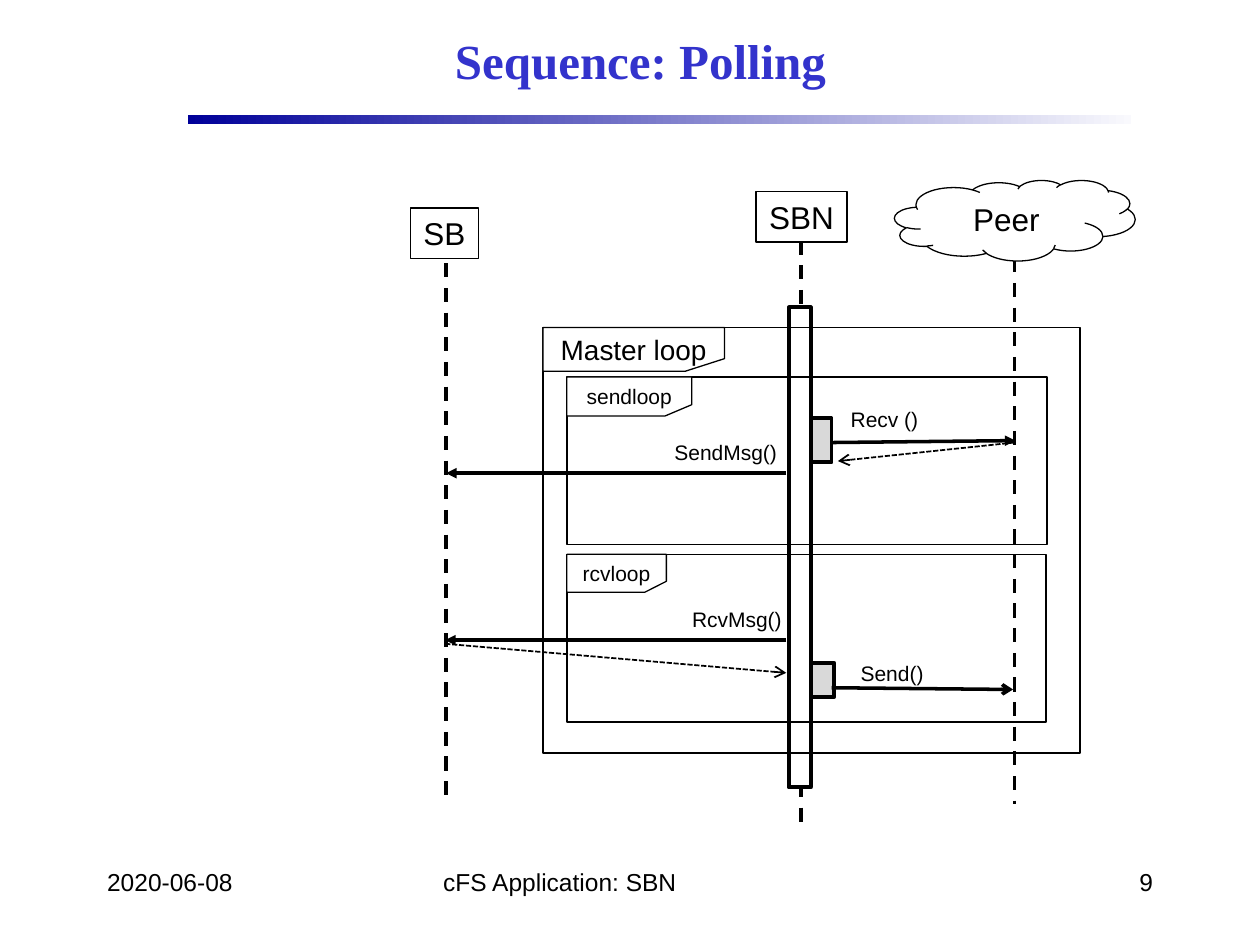
from dataclasses import dataclass

from lxml.etree import SubElement
from pptx import Presentation
from pptx.dml.color import RGBColor
from pptx.enum.dml import MSO_LINE
from pptx.enum.shapes import MSO_CONNECTOR, MSO_SHAPE
from pptx.enum.text import MSO_ANCHOR, PP_ALIGN
from pptx.oxml.ns import qn
from pptx.util import Pt


@dataclass(frozen=True)
class Theme:
    black: RGBColor = RGBColor(0x00, 0x00, 0x00)
    white: RGBColor = RGBColor(0xFF, 0xFF, 0xFF)
    gray: RGBColor = RGBColor(0xD9, 0xD9, 0xD9)
    title: RGBColor = RGBColor(0x33, 0x33, 0xCC)
    rule_start: RGBColor = RGBColor(0x00, 0x00, 0x99)
    rule_end: RGBColor = RGBColor(0xF9, 0xF9, 0xFD)
    title_font: str = "Times New Roman"
    body_font: str = "Arial"
    title_size: int = 28
    actor_size: int = 18
    loop_size: int = 16
    footer_size: int = 14
    label_size: int = 12


theme = Theme()
presentation = Presentation()
presentation.slide_width = Pt(720)
presentation.slide_height = Pt(540)
slide = presentation.slides.add_slide(presentation.slide_layouts[5])
shapes = slide.shapes


def format_shape(shape, fill=None, line=None, text="", size=theme.label_size,
                 align=PP_ALIGN.CENTER, wrap=True):
    shape.shadow.inherit = False
    if fill is None:
        shape.fill.background()
    else:
        shape.fill.solid()
        shape.fill.fore_color.rgb = fill
    if line is None:
        shape.line.fill.background()
    else:
        shape.line.color.rgb = theme.black
        shape.line.width = Pt(line)
    if text:
        frame = shape.text_frame
        frame.margin_left = frame.margin_right = 0
        frame.margin_top = frame.margin_bottom = 0
        frame.word_wrap = wrap
        frame.vertical_anchor = MSO_ANCHOR.MIDDLE
        paragraph = frame.paragraphs[0]
        paragraph.alignment = align
        run = paragraph.add_run()
        run.text = text
        run.font.name = theme.body_font
        run.font.size = Pt(size)
        run.font.color.rgb = theme.black


def add_line(x1, y1, x2, y2, width=2, dash=None, head=None):
    connector = shapes.add_connector(MSO_CONNECTOR.STRAIGHT, Pt(x1), Pt(y1), Pt(x2), Pt(y2))
    connector.line.color.rgb = theme.black
    connector.line.width = Pt(width)
    if dash:
        connector.line.dash_style = dash
    if head:
        SubElement(connector.line._get_or_add_ln(), qn("a:tailEnd"), type=head)
    SubElement(connector._element.spPr, qn("a:effectLst"))


# Title and the fading rule below it
title = shapes.title
title.left, title.top, title.width, title.height = Pt(108), Pt(7.2), Pt(516), Pt(54)
title.text_frame.vertical_anchor = MSO_ANCHOR.MIDDLE
paragraph = title.text_frame.paragraphs[0]
paragraph.alignment = PP_ALIGN.CENTER
run = paragraph.add_run()
run.text = "Sequence: Polling"
run.font.name = theme.title_font
run.font.size = Pt(theme.title_size)
run.font.bold = True
run.font.color.rgb = theme.title

rule = shapes.add_shape(MSO_SHAPE.RECTANGLE, Pt(107.3), Pt(66), Pt(539.3), Pt(5))
format_shape(rule)
rule.fill.gradient()
rule.fill.gradient_angle = 0
for stop, color in zip(rule.fill.gradient_stops, (theme.rule_start, theme.rule_end)):
    stop.color.rgb = color

# Footer
for text, left, width, align in (
    ("2020-06-08", 61.2, 135, PP_ALIGN.LEFT),
    ("cFS Application: SBN", 253.2, 214, PP_ALIGN.LEFT),
    ("9", 523.2, 135.6, PP_ALIGN.RIGHT),
):
    footer = shapes.add_textbox(Pt(left), Pt(496), Pt(width), Pt(16))
    format_shape(footer, text=text, size=theme.footer_size, align=align)

# Actors and their lifelines
for name, kind, left, top, width, height, life_x, life_top, life_bottom in (
    ("Peer", MSO_SHAPE.CLOUD, 511.2, 103, 137.5, 46, 579.8, 147.6, 459.4),
    ("SB", MSO_SHAPE.RECTANGLE, 234.5, 118.8, 39, 29, 254.8, 150.5, 459.4),
    ("SBN", MSO_SHAPE.RECTANGLE, 432, 109.4, 52, 29, 457.8, 137.5, 470),
):
    add_line(life_x, life_top, life_x, life_bottom, dash=MSO_LINE.DASH)
    actor = shapes.add_shape(kind, Pt(left), Pt(top), Pt(width), Pt(height))
    format_shape(actor, theme.white, 0.75, name, theme.actor_size)

# Activation bars on the SBN lifeline
for left, top, width, height, fill in (
    (450.7, 175.7, 12.5, 274.3, theme.white),
    (463.7, 378.7, 13, 19.6, theme.gray),
    (463.7, 239, 11.5, 25.2, theme.gray),
):
    bar = shapes.add_shape(MSO_SHAPE.RECTANGLE, Pt(left), Pt(top), Pt(width), Pt(height))
    format_shape(bar, fill, 2.25)

# Loop frames, each with a cut-corner tab
for name, size, left, top, width, height, tab_width, tab_height, cut_x, cut_y in (
    ("Master loop", theme.loop_size, 310.3, 187.2, 306.9, 243.2, 103.7, 25, 22.5, 7.2),
    ("rcvloop", theme.label_size, 323.9, 316.8, 274, 95.6, 56.9, 21.6, 12.2, 6.2),
    ("sendloop", theme.label_size, 323.9, 215.4, 274.3, 95.8, 71.4, 22.4, 15.4, 6.5),
):
    frame = shapes.add_shape(MSO_SHAPE.RECTANGLE, Pt(left), Pt(top), Pt(width), Pt(height))
    format_shape(frame, line=1)
    right, bottom = left + tab_width, top + tab_height
    builder = shapes.build_freeform(Pt(left), Pt(top))
    builder.add_line_segments([
        (Pt(right), Pt(top)),
        (Pt(right), Pt(bottom - cut_y)),
        (Pt(right - cut_x), Pt(bottom)),
        (Pt(left), Pt(bottom)),
    ])
    format_shape(builder.convert_to_shape(), theme.white, 0.75, name, size)

# Calls, then the dashed replies
for x1, y1, x2, y2, head in (
    (449.3, 365.8, 254.4, 365.8, "triangle"),
    (475.2, 393, 578.9, 394, "arrow"),
    (475.2, 252.9, 580.3, 251.8, "triangle"),
    (449.3, 270.4, 254.9, 270.4, "triangle"),
):
    add_line(x1, y1, x2, y2, head=head)
for x1, y1, x2, y2 in ((254.4, 367.9, 449.3, 384.5), (579.6, 252.9, 478.8, 263.5)):
    add_line(x1, y1, x2, y2, width=1, dash=MSO_LINE.SQUARE_DOT, head="arrow")

for text, left, top, width in (
    ("RcvMsg()", 388, 342.9, 66.2),
    ("Send()", 484.3, 374, 51),
    ("Recv ()", 478.8, 228.5, 53.3),
    ("SendMsg()", 378, 247.3, 73.4),
):
    label = shapes.add_textbox(Pt(left), Pt(top), Pt(width), Pt(21.8))
    format_shape(label, text=text, wrap=False)

presentation.save("out.pptx")
